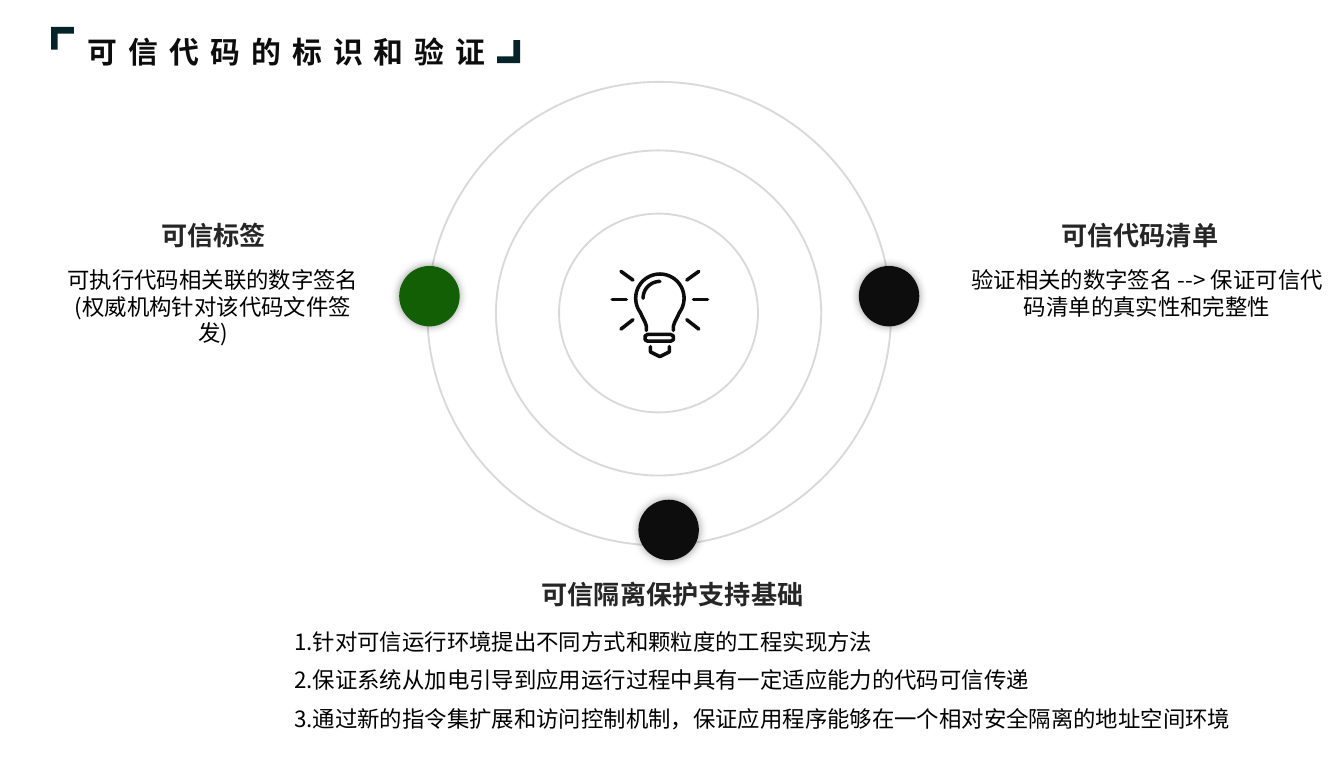
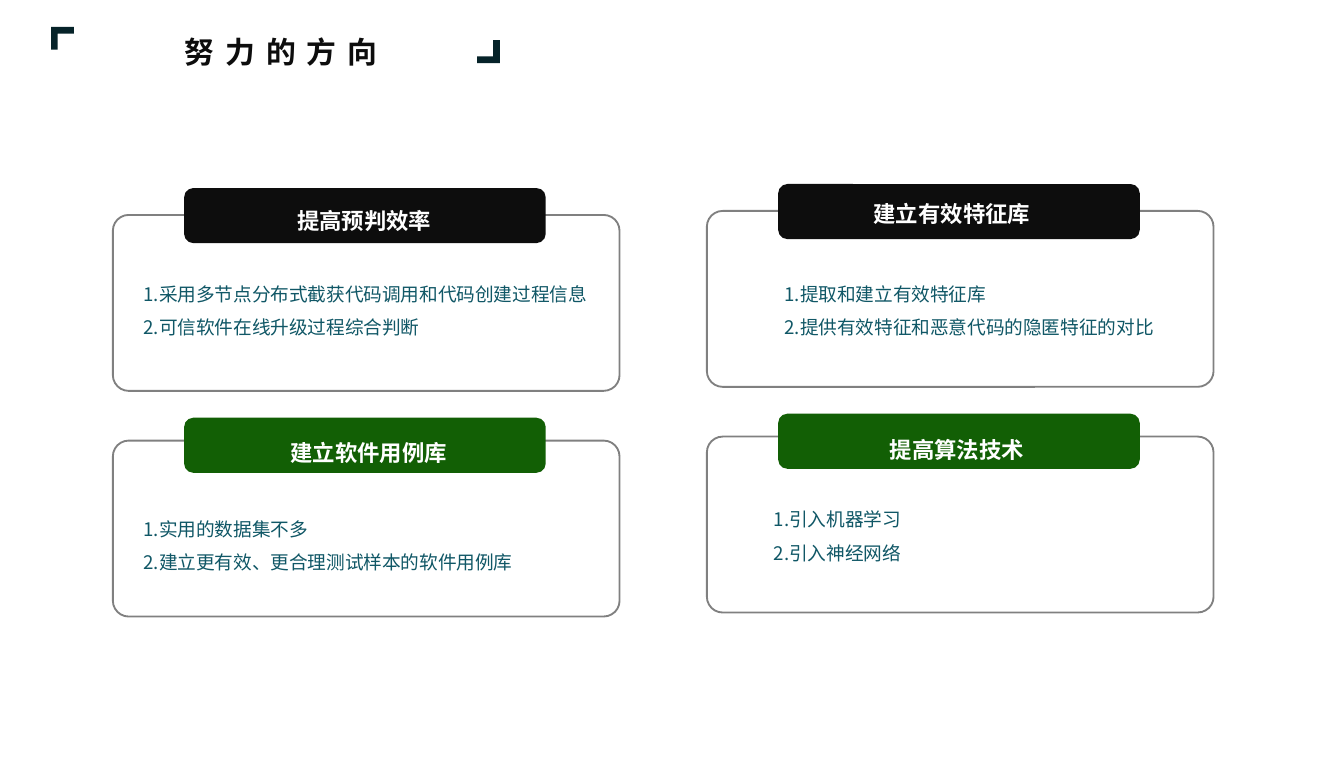
"""Build two slides on trusted code: its identification and the way ahead."""
import math

import pptx
import pptx.dml.color
import pptx.enum.shapes
import pptx.enum.text
import pptx.oxml.ns
import pptx.util
from lxml import etree

COLOURS = {
    "black": "0D0D0D", "green": "125F05", "bracket": "062329", "ring": "D9D9D9",
    "frame": "808080", "heading": "262626", "text": "000000", "teal": "105766",
    "white": "FFFFFF",
}
SANS = "Noto Sans CJK SC"
STYLES = {
    "title": dict(size=16, colour="black", bold=True, font="Noto Sans CJK JP", tracking=6),
    "heading": dict(size=14, colour="heading", bold=True, font="Calibri",
                    align="CENTER", spacing=1.2, before=3, insets=(0, 0)),
    "centred": dict(size=12, colour="text", align="CENTER", before=6),
    "list": dict(size=12, colour="text", before=6),
    "card title": dict(size=12, colour="white", bold=True, spacing=1.5, insets=(0.07, 0.04)),
    "card list": dict(size=10, colour="teal", spacing=1.5),
}
OVAL = pptx.enum.shapes.MSO_SHAPE.OVAL
ROUNDED = pptx.enum.shapes.MSO_SHAPE.ROUNDED_RECTANGLE
qn = pptx.oxml.ns.qn

deck = pptx.Presentation()
deck.slide_width = pptx.util.Inches(10)
deck.slide_height = pptx.util.Inches(5.71)
CELL = deck.slide_width // 1000


def write(box, at, lines, size, colour, bold=False, font=SANS, align="LEFT",
          spacing=1.0, before=0, insets=(0.1, 0.05), tracking=0):
    """Place a text box on the grid and fill it, one paragraph a line."""
    box.left, box.top, box.width, box.height = (n * CELL for n in at)
    frame = box.text_frame
    frame.word_wrap = True
    frame.auto_size = pptx.enum.text.MSO_AUTO_SIZE.SHAPE_TO_FIT_TEXT
    frame.vertical_anchor = pptx.enum.text.MSO_ANCHOR.TOP
    frame.margin_left = frame.margin_right = pptx.util.Inches(insets[0])
    frame.margin_top = frame.margin_bottom = pptx.util.Inches(insets[1])
    for number, line in enumerate(lines):
        para = frame.add_paragraph() if number else frame.paragraphs[0]
        para.alignment = pptx.enum.text.PP_ALIGN[align]
        para.line_spacing = spacing
        para.space_before = pptx.util.Pt(before)
        span = para.add_run()
        span.text = line
        span.font.size = pptx.util.Pt(size)
        span.font.bold = bold
        span.font.color.rgb = pptx.dml.color.RGBColor.from_string(COLOURS[colour])
        span.font.name = font
        properties = span.font._element
        etree.SubElement(properties, qn("a:ea"), typeface=font)
        if tracking:
            properties.set("spc", str(tracking * 100))


def paint(shape, fill=None, line=None, width=1):
    """Give a shape a flat fill, an outline, both or neither."""
    shape.shadow.inherit = False
    if fill:
        shape.fill.solid()
        shape.fill.fore_color.rgb = pptx.dml.color.RGBColor.from_string(COLOURS[fill])
    else:
        shape.fill.background()
    if line:
        shape.line.color.rgb = pptx.dml.color.RGBColor.from_string(COLOURS[line])
        shape.line.width = pptx.util.Pt(width)
    else:
        shape.line.fill.background()


BRACKET = [(0, 0), (17, 0), (17, 5), (5, 5), (5, 17), (0, 17)]
pages = []
for title, title_left, bracket_right in [("可信代码的标识和验证", 55, 387), ("努力的方向", 127, 372)]:
    page = deck.slides.add_slide(deck.slide_layouts[5])
    pages.append(page)
    write(page.shapes.title, (title_left, 20, 406, 37), [title], **STYLES["title"])
    for x, y, way in [(bracket_right, 47, -1), (38, 20, 1)]:
        corners = [((x + way * dx) * CELL, (y + way * dy) * CELL) for dx, dy in BRACKET]
        builder = page.shapes.build_freeform(*corners[0])
        builder.add_line_segments(corners[1:])
        paint(builder.convert_to_shape(), fill="bracket")
identification, directions = pages

for diameter in (148, 242, 345):
    corner = (490 - diameter // 2, 233 - diameter // 2)
    ring = identification.shapes.add_shape(
        OVAL, *(n * CELL for n in (*corner, diameter, diameter)))
    paint(ring, line="ring")

bulb_arc = [(491 + 18 * math.cos(math.radians(a)), 222 + 18 * math.sin(math.radians(a)))
            for a in range(144, 397, 6)]
shine = [(491 + 12.5 * math.cos(math.radians(a)), 222 + 12.5 * math.sin(math.radians(a)))
         for a in range(180, 271, 6)]
bulb_strokes = [
    [(481, 246), (481, 243), (480, 240), (478, 236), *bulb_arc,
     (504, 236), (502, 240), (501, 243), (501, 246)],
    shine,
    [(482, 249), (499, 249), (501, 250), (501, 253), (499, 254),
     (482, 254), (480, 253), (480, 250), (482, 249)],
    [(484, 258), (484, 262), (491, 265.5), (498, 262), (498, 258)],
]
for side in (-1, 1):
    for start, end in [((29, 202), (20, 208.5)), ((35.5, 223), (25, 223)), ((29, 245), (20, 238))]:
        bulb_strokes.append([(491 + side * dx, y) for dx, y in (start, end)])
builder = identification.shapes.build_freeform(
    *(n * CELL for n in bulb_strokes[0][0]))
for stroke in bulb_strokes:
    points = [(x * CELL, y * CELL) for x, y in stroke]
    if stroke is not bulb_strokes[0]:
        builder.move_to(*points[0])
    builder.add_line_segments(points[1:], close=False)
bulb = builder.convert_to_shape()
paint(bulb, line="black", width=1.9)
bulb._element.spPr.find(qn("a:ln")).set("cap", "rnd")

for left, top, colour in [(297, 198, "green"), (639, 198, "black"), (475, 372, "black")]:
    dot = identification.shapes.add_shape(OVAL, *(n * CELL for n in (left, top, 45, 45)))
    paint(dot, fill=colour)
    effects = dot._element.spPr.find(qn("a:effectLst"))
    glow = etree.SubElement(effects, qn("a:outerShdw"), blurRad=str(pptx.util.Pt(5)), dist="0")
    shade = etree.SubElement(glow, qn("a:srgbClr"), val=COLOURS["text"])
    etree.SubElement(shade, qn("a:alpha"), val="40000")

for heading, heading_at, lines, lines_at, style in [
    ("可信标签", (109, 159, 100, 28),
     ["可执行代码相关联的数字签名(权威机构针对该代码文件签发)"],
     (37, 193, 243, 50), "centred"),
    ("可信代码清单", (777, 159, 142, 28),
     ["验证相关的数字签名 --> 保证可信代码清单的真实性和完整性"],
     (712, 193, 283, 50), "centred"),
    ("可信隔离保护支持基础", (388, 426, 225, 28),
     ["1.针对可信运行环境提出不同方式和颗粒度的工程实现方法",
      "2.保证系统从加电引导到应用运行过程中具有一定适应能力的代码可信传递",
      "3.通过新的指令集扩展和访问控制机制，保证应用程序能够在一个相对安全隔离的地址空间环境"],
     (209, 463, 778, 108), "list"),
]:
    write(identification.shapes.add_textbox(0, 0, 0, 0), heading_at, [heading], **STYLES["heading"])
    write(identification.shapes.add_textbox(0, 0, 0, 0), lines_at, lines, **STYLES[style])

for left, top in [(526, 157), (84, 160)]:
    for row, colour in enumerate(["black", "green"]):
        frame = directions.shapes.add_shape(
            ROUNDED, *(n * CELL for n in (left, top + 168 * row, 377, 131)))
        frame.adjustments[0] = 0.09
        paint(frame, line="frame")
        bar = directions.shapes.add_shape(
            ROUNDED, *(n * CELL for n in (left + 53, top - 20 + 171 * row, 269, 41)))
        paint(bar, fill=colour)

for heading, heading_left, heading_top, lines, left, top, width in [
    ("提高预判效率", 214, 140,
     ["1.采用多节点分布式截获代码调用和代码创建过程信息", "2.可信软件在线升级过程综合判断"],
     97, 197, 385),
    ("建立有效特征库", 643, 135,
     ["1.提取和建立有效特征库", "2.提供有效特征和恶意代码的隐匿特征的对比"],
     574, 197, 297),
    ("建立软件用例库", 209, 313,
     ["1.实用的数据集不多", "2.建立更有效、更合理测试样本的软件用例库"],
     97, 372, 297),
    ("提高算法技术", 655, 311,
     ["1.引入机器学习", "2.引入神经网络"],
     566, 365, 297),
]:
    write(directions.shapes.add_textbox(0, 0, 0, 0), (left, top, width, 60), lines,
          **STYLES["card list"])
    write(directions.shapes.add_textbox(0, 0, 0, 0), (heading_left, heading_top, 340, 38),
          [heading], **STYLES["card title"])

deck.save("out.pptx")
